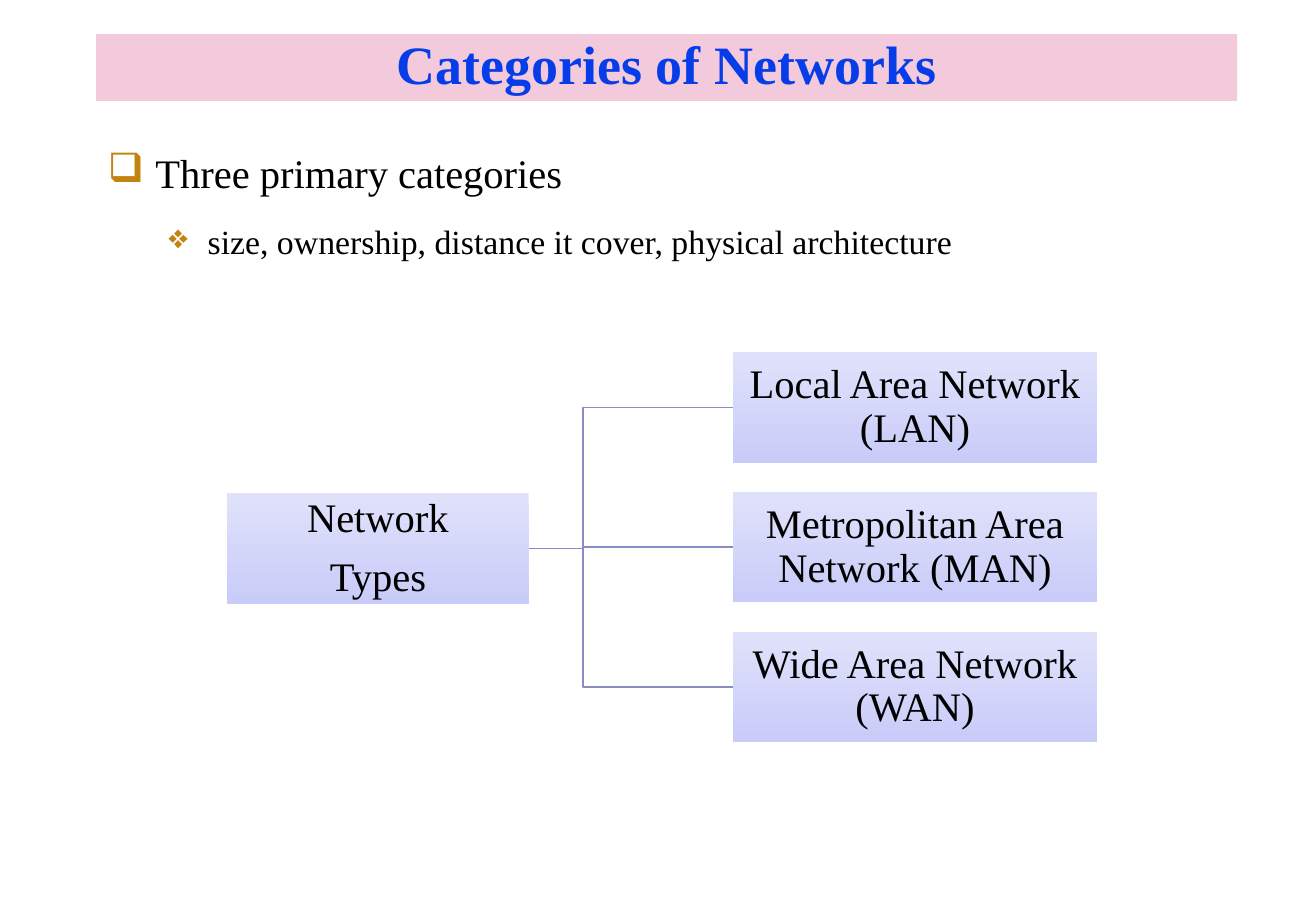
from lxml import etree
from pptx import Presentation
from pptx import util as u
from pptx.dml.color import RGBColor
from pptx.enum import shapes, text
from pptx.oxml import ns

COLORS = {
    "band": "F2CADC", "title": "063DE8", "text": "000000",
    "bullet": "C2840F", "line": "888CC2", "top": "DFE1FB", "base": "C9CCF9",
}
FONT = "Times New Roman"


def color(name):
    return RGBColor.from_string(COLORS[name])


def style(para, size, name="text", bold=False):
    font = para.font
    font.name, font.size, font.bold = FONT, u.Pt(size), bold
    font.color.rgb = color(name)


deck = Presentation()
deck.slide_width, deck.slide_height = u.Inches(10.83), u.Inches(7.5)
slide = deck.slides.add_slide(deck.slide_layouts[6])

# Title band
band = slide.shapes.add_shape(
    shapes.MSO_SHAPE.RECTANGLE,
    u.Inches(0.79), u.Inches(0.28), u.Inches(9.39), u.Inches(0.55))
band.shadow.inherit = False
band.fill.solid()
band.fill.fore_color.rgb = color("band")
band.line.fill.background()
band.text_frame.text = "Categories of Networks"
band.text_frame.vertical_anchor = text.MSO_ANCHOR.MIDDLE
para = band.text_frame.paragraphs[0]
para.alignment = text.PP_ALIGN.CENTER
para.line_spacing = 0.9
style(para, 32, "title", True)

# Bulleted text: words, level, size, mark, margin, hang, line, before, after
points = [
    ("Three primary categories", 0, 24, "❑", 0.39, 0.39, 1.2, 0, 8),
    ("size, ownership, distance it cover, physical architecture",
     1, 20, "❖", 0.82, 0.32, 1.0, 6, 4),
]
body = slide.shapes.add_textbox(
    u.Inches(0.79), u.Inches(0.99), u.Inches(9.39), u.Inches(5.83))
frame = body.text_frame
frame.word_wrap = True
frame.margin_top = u.Inches(0.15)
frame.text = "\n".join(point[0] for point in points)
for para, point in zip(frame.paragraphs, points):
    words, level, size, mark, margin, hang, line, before, after = point
    para.level = level
    para.line_spacing = line
    para.space_before, para.space_after = u.Pt(before), u.Pt(after)
    props = para._p.get_or_add_pPr()
    props.set("marL", str(u.Inches(margin)))
    props.set("indent", str(-u.Inches(hang)))
    tint = etree.SubElement(props, ns.qn("a:buClr"))
    etree.SubElement(tint, ns.qn("a:srgbClr"), val=COLORS["bullet"])
    etree.SubElement(props, ns.qn("a:buChar"), char=mark)
    style(para, size)

# Tree layout: the root first, then its evenly spaced branches
high, gap = 0.91, 1.15
kinds = ["Local Area Network (LAN)", "Metropolitan Area Network (MAN)",
         "Wide Area Network (WAN)"]
nodes = [("Network\nTypes", 1.87, 4.06, 2.48)]
nodes += [(kind, 6.03, 2.9 + gap * i, 3) for i, kind in enumerate(kinds)]

# Elbow lines from the root to each branch
_, left, top, wide = nodes[0]
start, bend, level = left + wide, 4.8, top + high / 2
for _, left, top, _ in nodes[1:]:
    end = top + high / 2
    build = slide.shapes.build_freeform(u.Inches(start), u.Inches(level))
    build.add_line_segments(
        [(u.Inches(x), u.Inches(y))
         for x, y in [(bend, level), (bend, end), (left, end)]], close=False)
    elbow = build.convert_to_shape()
    elbow.shadow.inherit = False
    elbow.fill.background()
    elbow.line.color.rgb = color("line")
    elbow.line.width = u.Pt(1)

# Tree boxes
for words, left, top, wide in nodes:
    box = slide.shapes.add_shape(
        shapes.MSO_SHAPE.RECTANGLE,
        u.Inches(left), u.Inches(top), u.Inches(wide), u.Inches(high))
    box.shadow.inherit = False
    box.line.fill.background()
    box.fill.gradient()
    box.fill.gradient_angle = 270
    for stop, name in zip(box.fill.gradient_stops, ["top", "base"]):
        stop.color.rgb = color(name)
    frame = box.text_frame
    frame.margin_left = frame.margin_right = u.Inches(0.02)
    frame.margin_top = frame.margin_bottom = u.Inches(0.02)
    frame.vertical_anchor = text.MSO_ANCHOR.MIDDLE
    frame.text = words
    for para in frame.paragraphs:
        para.alignment = text.PP_ALIGN.CENTER
        para.line_spacing = 0.9
        para.space_after = u.Pt(9)
        style(para, 24)

deck.save("out.pptx")
